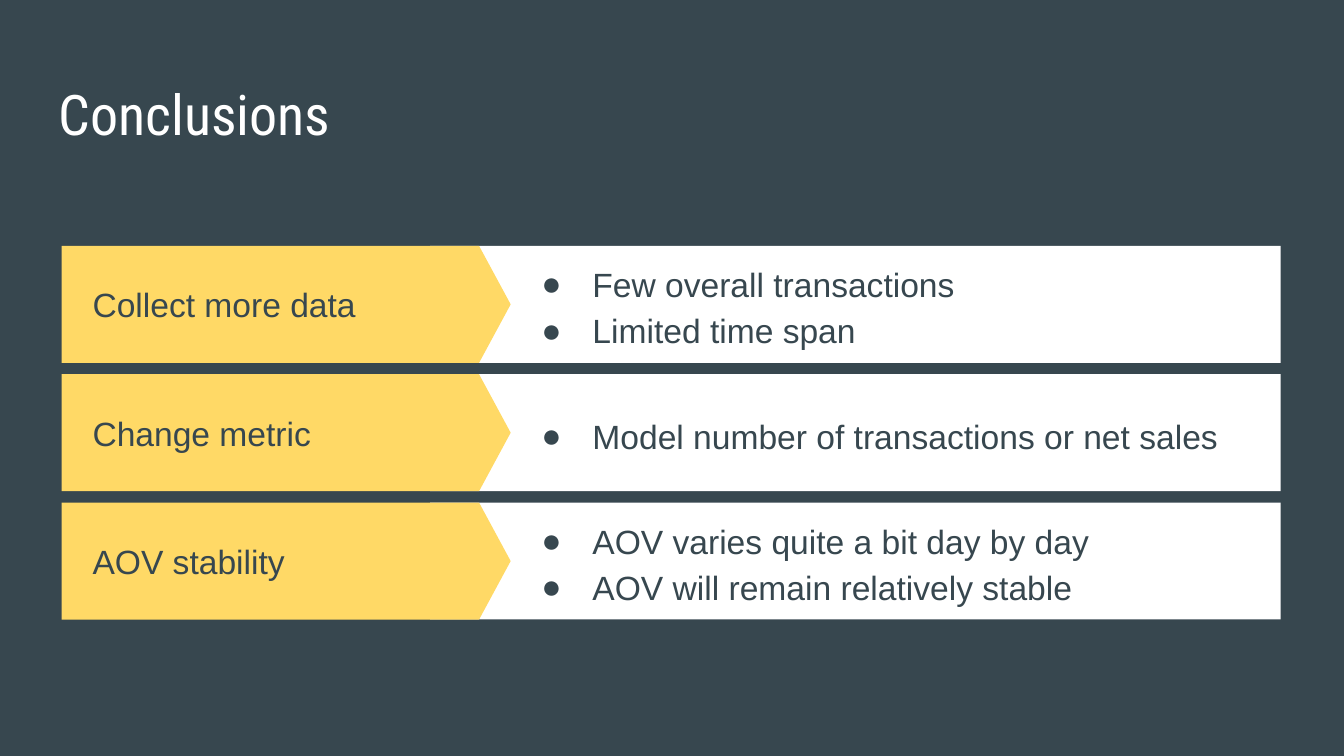
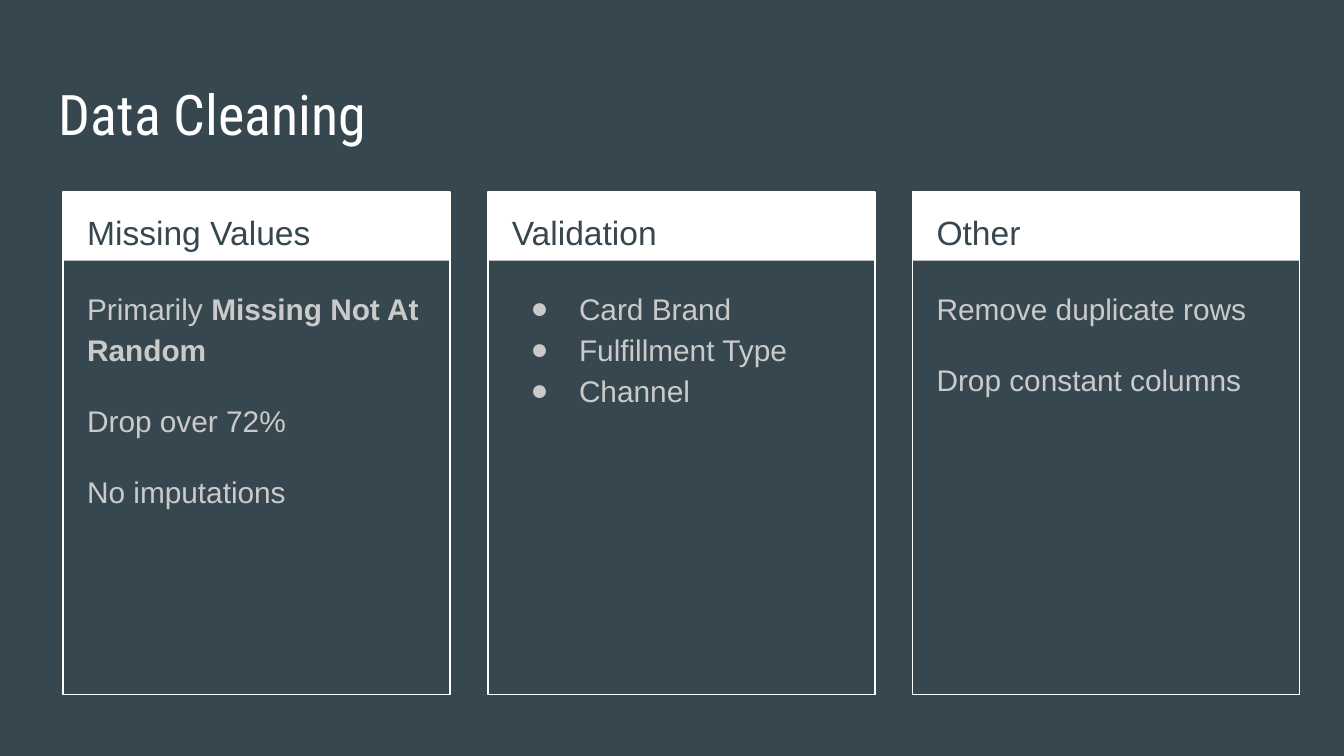
from lxml.etree import SubElement
from pptx import Presentation
from pptx.dml.color import RGBColor
from pptx.enum.shapes import MSO_SHAPE as Preset
from pptx.enum.text import MSO_ANCHOR as Anchor
from pptx.oxml.ns import qn
from pptx.util import Inches, Pt

SLATE, WHITE, YELLOW, GREY = "37474F", "FFFFFF", "FFD966", "CACACA"
BODY_FONT, TITLE_FONT = "Arial", "Roboto Condensed"


def paint(target, color):
    """Give a fill a solid hex colour."""
    target.solid()
    target.fore_color.rgb = RGBColor.from_string(color)


def add_text(slide, box, paragraphs, size=18, color=SLATE, font=BODY_FONT,
             anchor=Anchor.TOP, spacing=1.0, gap=0, hanging=None):
    """Each paragraph is a list of (text, bold) runs or a plain string;
    hanging is the bullet's outdent in inches."""
    frame = slide.shapes.add_textbox(*map(Inches, box)).text_frame
    frame.word_wrap = True
    frame.vertical_anchor = anchor
    frame.margin_left = frame.margin_right = Inches(0.1)
    frame.margin_top = frame.margin_bottom = Inches(0.1)
    for index, runs in enumerate(paragraphs):
        paragraph = frame.add_paragraph() if index else frame.paragraphs[0]
        paragraph.line_spacing = spacing
        if index:
            paragraph.space_before = Pt(gap)
        if hanging:
            props = paragraph._p.get_or_add_pPr()
            props.set("marL", str(Inches(0.5)))
            props.set("indent", str(-Inches(hanging)))
            bullet_color = SubElement(props, qn("a:buClr"))
            SubElement(bullet_color, qn("a:srgbClr"), val=color)
            SubElement(props, qn("a:buFont"), typeface=font)
            SubElement(props, qn("a:buChar"), char="●")
        for text, bold in [(runs, False)] if isinstance(runs, str) else runs:
            run = paragraph.add_run()
            run.text = text
            run.font.name, run.font.size, run.font.bold = font, Pt(size), bold
            paint(run.font.fill, color)


deck = Presentation()
deck.slide_width, deck.slide_height = Inches(10), Inches(5.625)

slides = []
for title in ("Conclusions", "Data Cleaning"):
    slide = deck.slides.add_slide(deck.slide_layouts[6])
    paint(slide.background.fill, SLATE)
    add_text(slide, (0.34, 0.49, 9.32, 0.63), [title],
             size=30, color=WHITE, font=TITLE_FONT)
    slides.append(slide)
conclusions, cleaning = slides

# Conclusions: one arrow band per row
ROW_TOP, ROW_STEP, ROW_HEIGHT = 1.83, 0.955, 0.87
findings = [
    ("Collect more data", ["Few overall transactions", "Limited time span"]),
    ("Change metric", ["Model number of transactions or net sales"]),
    ("AOV stability", ["AOV varies quite a bit day by day",
                       "AOV will remain relatively stable"]),
]
for row, (heading, points) in enumerate(findings):
    top = ROW_TOP + row * ROW_STEP
    for preset, left, width, color in ((Preset.RECTANGLE, 3.2, 6.33, WHITE),
                                       (Preset.PENTAGON, 0.46, 3.34, YELLOW)):
        band = conclusions.shapes.add_shape(
            preset, *map(Inches, (left, top, width, ROW_HEIGHT)))
        band.shadow.inherit = False
        paint(band.fill, color)
        band.line.fill.background()
        if preset == Preset.PENTAGON:
            band.adjustments[0] = 0.27
    add_text(conclusions, (0.59, top, 2.65, ROW_HEIGHT), [heading],
             anchor=Anchor.MIDDLE)
    add_text(conclusions, (3.81, top, 5.59, ROW_HEIGHT), points,
             anchor=Anchor.MIDDLE, spacing=1.15, hanging=0.38)

# Data Cleaning: one framed card per column
CARD_LEFT, CARD_STEP, CARD_TOP, CARD_WIDTH = 0.47, 3.16, 1.43, 2.88
HEADER_HEIGHT, CARD_HEIGHT = 0.51, 3.74
cards = [
    ("Missing Values", [[("Primarily ", False), ("Missing Not At Random", True)],
                        "Drop over 72%", "No imputations"], {"gap": 16}),
    ("Validation", ["Card Brand", "Fulfillment Type", "Channel"],
     {"hanging": 0.36}),
    ("Other", ["Remove duplicate rows", "Drop constant columns"], {"gap": 16}),
]
for column, (heading, steps, layout) in enumerate(cards):
    left = CARD_LEFT + column * CARD_STEP
    for height, filled in ((HEADER_HEIGHT, True), (CARD_HEIGHT, False)):
        panel = cleaning.shapes.add_shape(
            Preset.RECTANGLE, *map(Inches, (left, CARD_TOP, CARD_WIDTH, height)))
        panel.shadow.inherit = False
        if filled:
            paint(panel.fill, WHITE)
            panel.line.fill.background()
        else:
            panel.fill.background()
            paint(panel.line.fill, WHITE)
            panel.line.width = Pt(0.75)
    add_text(cleaning, (left + 0.08, CARD_TOP, 2.73, 0.5), [heading],
             spacing=1.15)
    add_text(cleaning, (left + 0.08, 2.02, 2.71, 3.06), steps,
             size=16, color=GREY, spacing=1.15, **layout)

deck.save("out.pptx")
